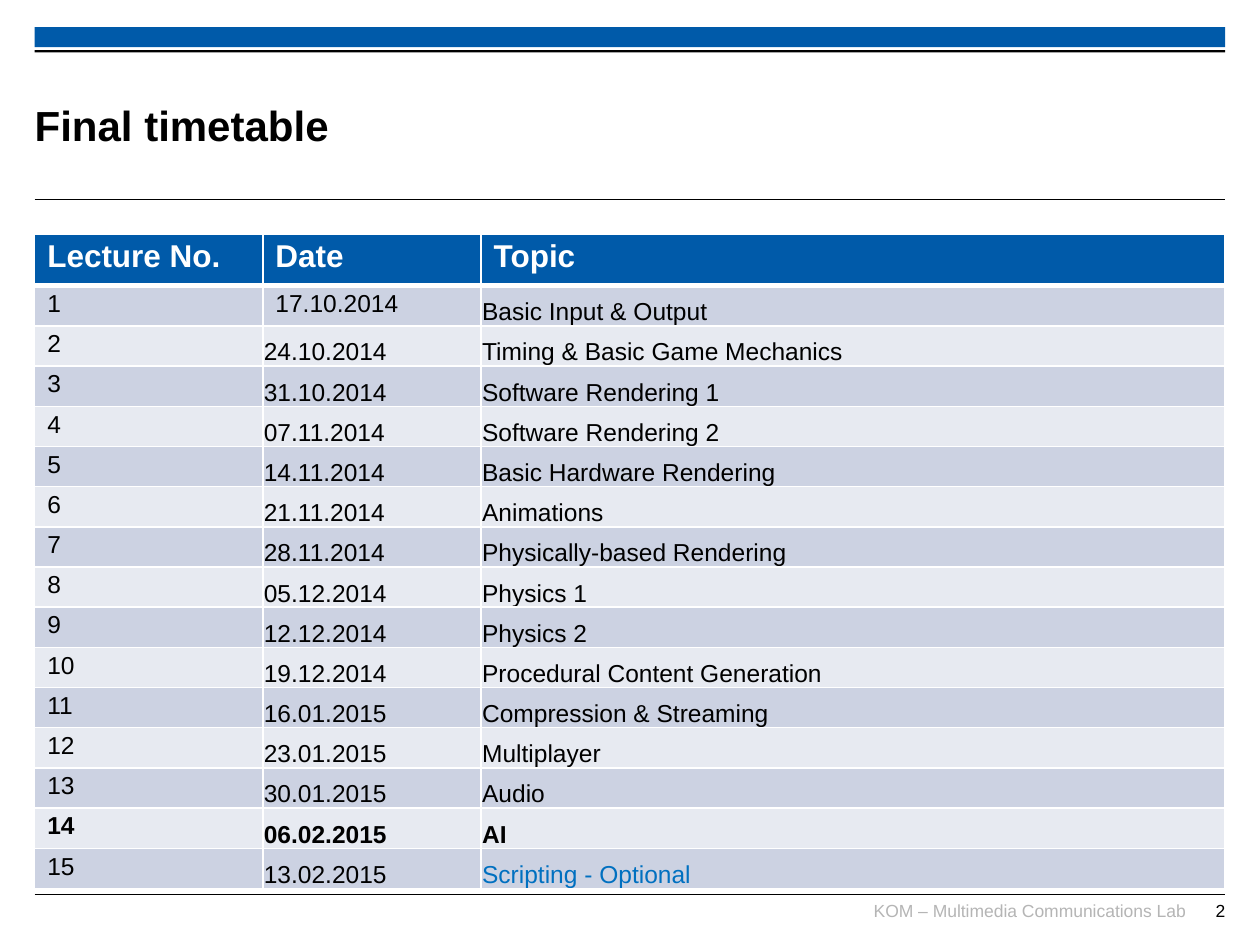
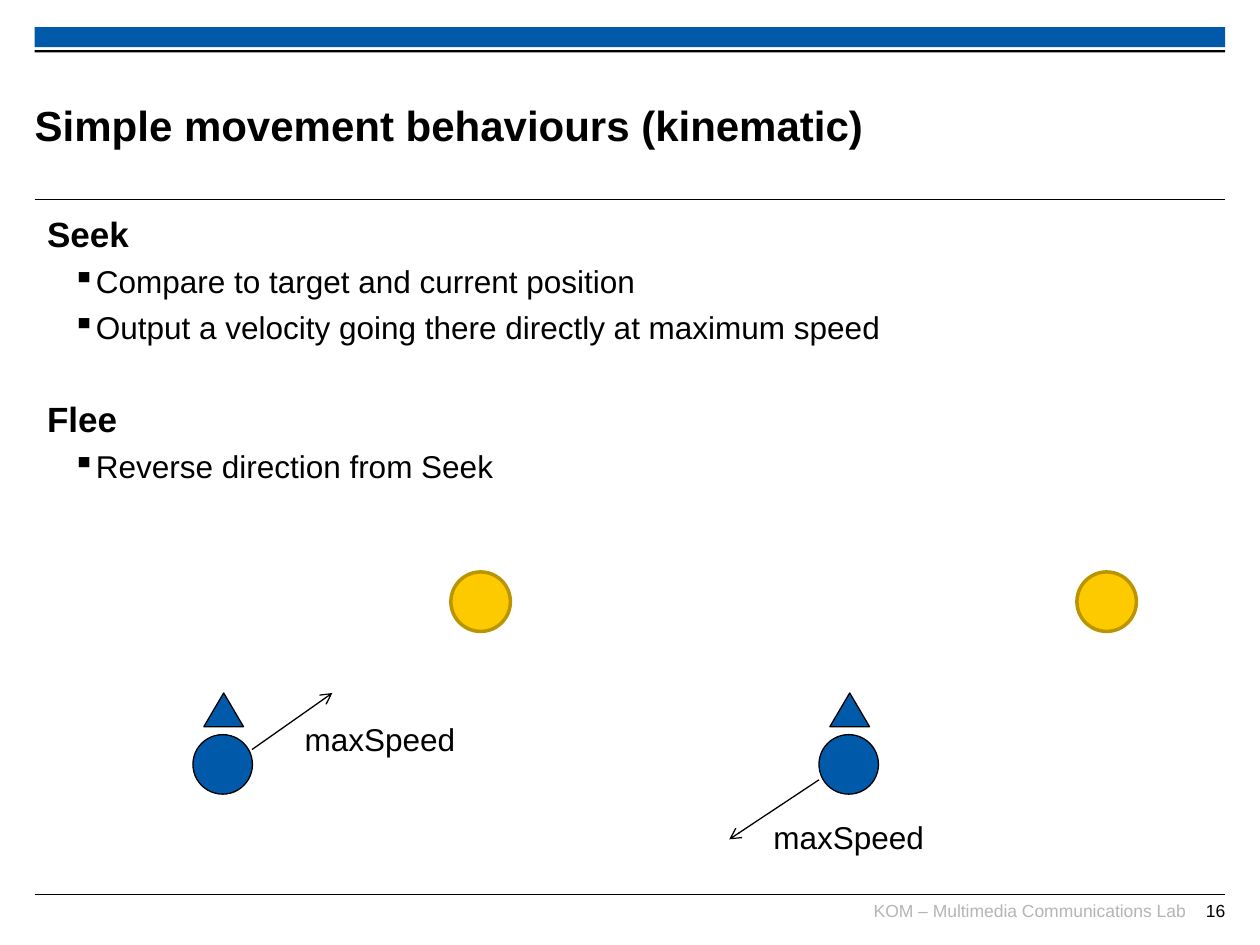
from lxml import etree
from pptx import Presentation, util as u
from pptx.dml.color import RGBColor
from pptx.enum import shapes, text
from pptx.oxml import ns

BLUE, YELLOW, OCHRE = "005AA9", "FDCA00", "BB9500"
BLACK, WHITE, GREY, LINK_BLUE = "000000", "FFFFFF", "B5B5B5", "0070C0"
BAND_COLORS = ["CCD2E2", "E7EAF1"]
LEFT, WIDTH = 0.7, 24


def paint(fill, color):
    fill.solid()
    fill.fore_color.rgb = RGBColor.from_string(color)


def write(paragraph, content, size=18, color=BLACK, bold=False, align="LEFT",
          before=0, spacing=None, bullet=None):
    paragraph.alignment = getattr(text.PP_ALIGN, align)
    paragraph.space_before = u.Pt(before)
    if spacing:
        paragraph.line_spacing = spacing
    if bullet:
        properties = paragraph._p.get_or_add_pPr()
        properties.set("marL", str(u.Cm(0.97)))
        properties.set("indent", str(u.Cm(-0.46)))
        etree.SubElement(properties, ns.qn("a:buChar"), char=bullet)
    run = paragraph.add_run()
    run.text = content
    run.font.name = "Arial"
    run.font.size = u.Pt(size)
    run.font.bold = bold
    paint(run.font.fill, color)


presentation = Presentation()
presentation.slide_width, presentation.slide_height = u.Cm(25.4), u.Cm(19.05)

slides = []
for title_text, number in [("Final timetable", "2"),
                           ("Simple movement behaviours (kinematic)", "16")]:
    slide = presentation.slides.add_slide(presentation.slide_layouts[5])
    slides.append(slide)

    for top, height, color in [(0.55, 0.4, BLUE), (1.01, 0.05, BLACK)]:
        band = slide.shapes.add_shape(shapes.MSO_SHAPE.RECTANGLE, u.Cm(LEFT), u.Cm(top),
                                      u.Cm(WIDTH), u.Cm(height))
        band.shadow.inherit = False
        paint(band.fill, color)
        band.line.fill.background()

    for top in (4.03, 18.03):
        rule = slide.shapes.add_connector(shapes.MSO_CONNECTOR.STRAIGHT, u.Cm(LEFT), u.Cm(top),
                                          u.Cm(LEFT + WIDTH), u.Cm(top))
        etree.SubElement(rule._element.spPr, ns.qn("a:effectLst"))
        paint(rule.line.fill, BLACK)
        rule.line.width = u.Pt(0.6)

    for left, width, content, color in [
            (17.5, 6.4, "KOM – Multimedia Communications Lab", GREY),
            (23.6, 1.1, number, BLACK)]:
        footer = slide.shapes.add_textbox(u.Cm(left), u.Cm(18.14), u.Cm(width), u.Cm(0.62))
        frame = footer.text_frame
        frame.word_wrap = True
        frame.margin_left = frame.margin_right = frame.margin_top = frame.margin_bottom = 0
        write(frame.paragraphs[0], content, size=10, color=color, align="RIGHT")

    title = slide.shapes.title
    title.left, title.top = u.Cm(LEFT), u.Cm(1.35)
    title.width, title.height = u.Cm(19.1), u.Cm(2.34)
    frame = title.text_frame
    frame.auto_size = text.MSO_AUTO_SIZE.NONE
    frame.vertical_anchor = text.MSO_ANCHOR.MIDDLE
    frame.margin_left = frame.margin_right = frame.margin_top = frame.margin_bottom = 0
    write(frame.paragraphs[0], title_text, size=24, bold=True)

timetable_slide, movement_slide = slides

lectures = [
    ("17.10.2014", "Basic Input & Output"),
    ("24.10.2014", "Timing & Basic Game Mechanics"),
    ("31.10.2014", "Software Rendering 1"),
    ("07.11.2014", "Software Rendering 2"),
    ("14.11.2014", "Basic Hardware Rendering"),
    ("21.11.2014", "Animations"),
    ("28.11.2014", "Physically-based Rendering"),
    ("05.12.2014", "Physics 1"),
    ("12.12.2014", "Physics 2"),
    ("19.12.2014", "Procedural Content Generation"),
    ("16.01.2015", "Compression & Streaming"),
    ("23.01.2015", "Multiplayer"),
    ("30.01.2015", "Audio"),
    ("06.02.2015", "AI"),
    ("13.02.2015", "Scripting - Optional"),
]
rows = [("Lecture No.", "Date", "Topic")]
rows += [(str(number), *lecture) for number, lecture in enumerate(lectures, 1)]
HEADER_HEIGHT, ROW_HEIGHT = 1.03, 0.81

table = timetable_slide.shapes.add_table(
    len(rows), 3, u.Cm(LEFT), u.Cm(4.73), u.Cm(WIDTH),
    u.Cm(HEADER_HEIGHT + ROW_HEIGHT * len(lectures))).table
table.horz_banding = False
for column, width in zip(table.columns, (4.6, 4.4, 15)):
    column.width = u.Cm(width)

for row_index, row in enumerate(rows):
    is_header = row_index == 0
    table.rows[row_index].height = u.Cm(HEADER_HEIGHT if is_header else ROW_HEIGHT)
    for column_index, content in enumerate(row):
        cell = table.cell(row_index, column_index)
        paint(cell.fill, BLUE if is_header else BAND_COLORS[(row_index - 1) % 2])
        if column_index == 2 and row_index > 0 or column_index == 1 and row_index > 1:
            cell.vertical_anchor = text.MSO_ANCHOR.BOTTOM
            cell.margin_left = cell.margin_right = cell.margin_top = u.Cm(0.02)
            cell.margin_bottom = 0

        color = BLACK
        if is_header:
            color = WHITE
        elif content == "Scripting - Optional":
            color = LINK_BLUE
        write(cell.text_frame.paragraphs[0], content, size=18 if is_header else 14,
              color=color, bold=is_header or row[0] == "14", spacing=0.93)

        for position, side in enumerate(("lnL", "lnR", "lnT", "lnB")):
            thick = is_header and side == "lnB" or row_index == 1 and side == "lnT"
            border = etree.Element(ns.qn("a:" + side), w=str(u.Pt(3 if thick else 1)))
            border_fill = etree.SubElement(border, ns.qn("a:solidFill"))
            etree.SubElement(border_fill, ns.qn("a:srgbClr"), val=WHITE)
            cell._tc.get_or_add_tcPr().insert(position, border)

body = movement_slide.shapes.add_textbox(u.Cm(LEFT), u.Cm(4.11), u.Cm(WIDTH), u.Cm(13.8))
frame = body.text_frame
frame.word_wrap = True
frame.margin_top = u.Cm(0.18)
behaviours = [
    ("Seek", 0, ["Compare to target and current position",
                 "Output a velocity going there directly at maximum speed"]),
    ("Flee", 29.5, ["Reverse direction from Seek"]),
]
for index, (behaviour, gap, points) in enumerate(behaviours):
    paragraph = frame.add_paragraph() if index else frame.paragraphs[0]
    write(paragraph, behaviour, size=20, bold=True, before=gap)
    for point in points:
        write(frame.add_paragraph(), point, before=4.4, bullet="▪")

OVAL, TRIANGLE = shapes.MSO_SHAPE.OVAL, shapes.MSO_SHAPE.ISOSCELES_TRIANGLE
scenes = [
    (0, (5.08, 15.11, 6.7, 13.97), (5.87, 14.45)),
    (12.62, (16.51, 15.72, 14.7, 16.92), (15.32, 16.43)),
]
for offset, arrow_ends, label_place in scenes:
    agent = movement_slide.shapes.add_group_shape()
    for parent, kind, left, top, width, height, fill, line, weight in [
            (agent, OVAL, 3.89, 14.81, 1.2, 1.2, BLUE, BLACK, 0.75),
            (agent, TRIANGLE, 4.11, 13.97, 0.8, 0.68, BLUE, BLACK, 0.75),
            (movement_slide, OVAL, 9.09, 11.53, 1.2, 1.2, YELLOW, OCHRE, 2)]:
        shape = parent.shapes.add_shape(kind, u.Cm(left + offset), u.Cm(top),
                                        u.Cm(width), u.Cm(height))
        shape.shadow.inherit = False
        paint(shape.fill, fill)
        paint(shape.line.fill, line)
        shape.line.width = u.Pt(weight)

    arrow = movement_slide.shapes.add_connector(shapes.MSO_CONNECTOR.STRAIGHT,
                                                *[u.Cm(value) for value in arrow_ends])
    etree.SubElement(arrow._element.spPr, ns.qn("a:effectLst"))
    paint(arrow.line.fill, BLACK)
    arrow.line.width = u.Pt(0.75)
    etree.SubElement(arrow.line._get_or_add_ln(), ns.qn("a:tailEnd"), type="arrow")

    label = movement_slide.shapes.add_textbox(*[u.Cm(value) for value in label_place],
                                              u.Cm(3.58), u.Cm(0.97))
    label.text_frame.word_wrap = False
    write(label.text_frame.paragraphs[0], "maxSpeed", align="CENTER", spacing=0.93)

presentation.save("out.pptx")
